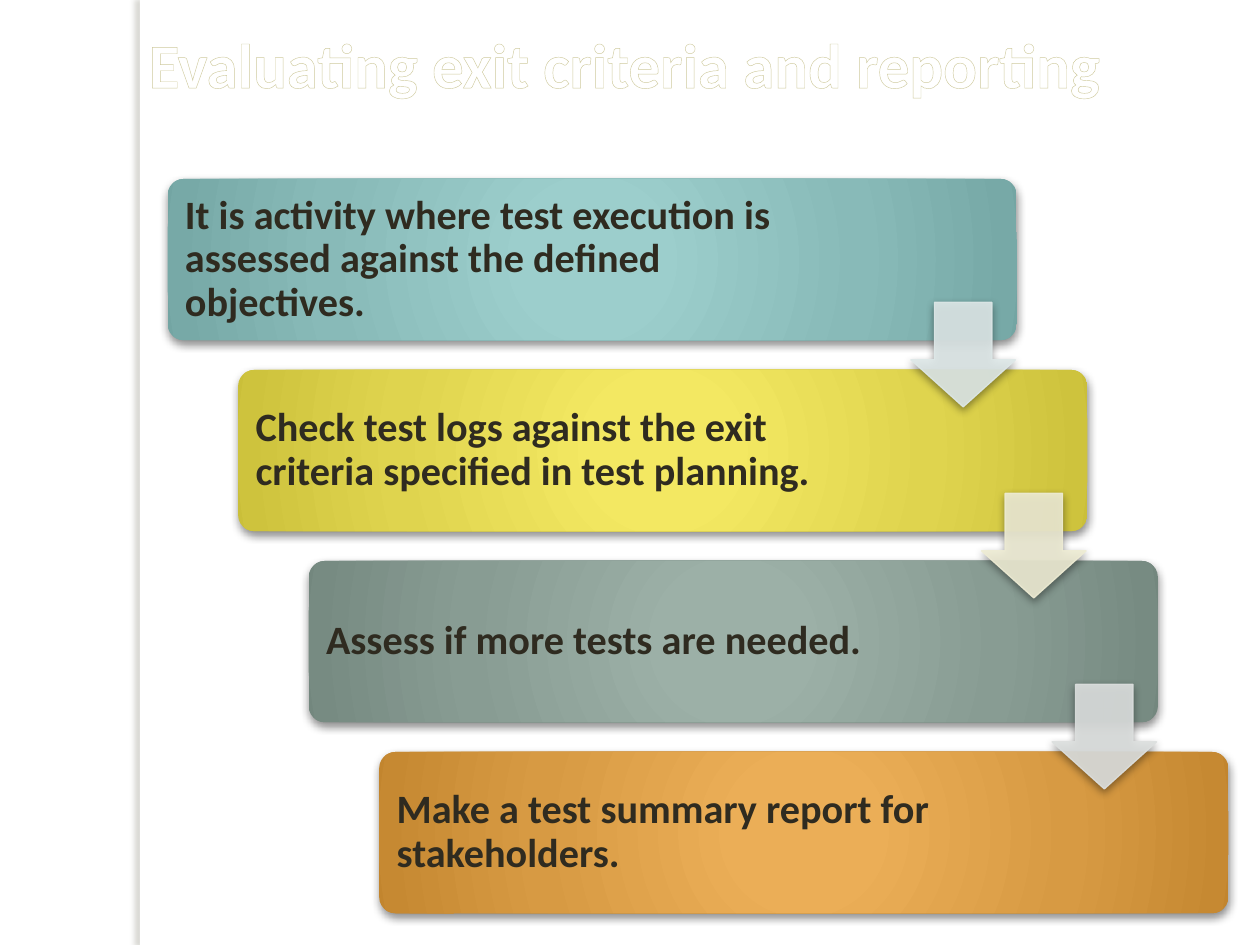
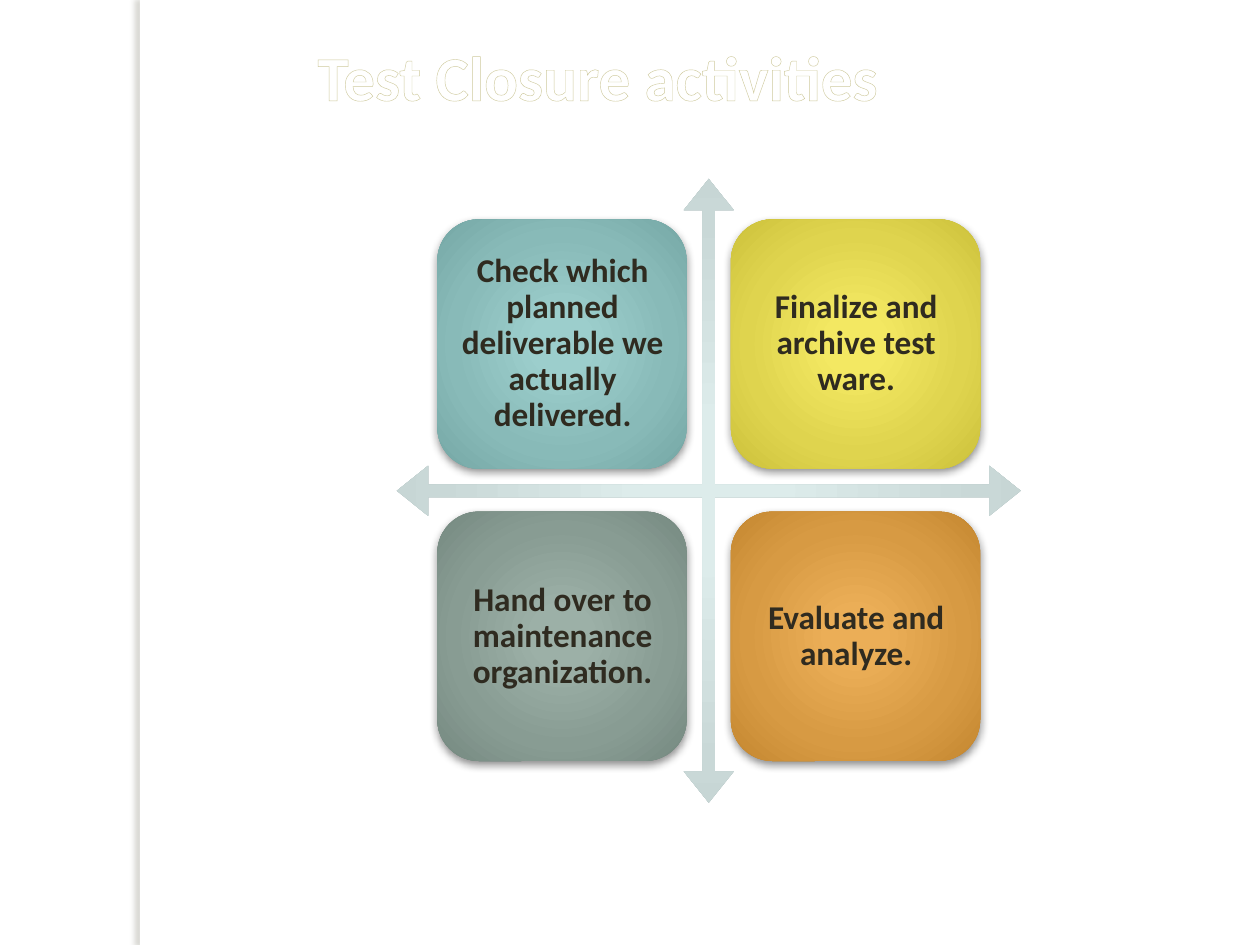
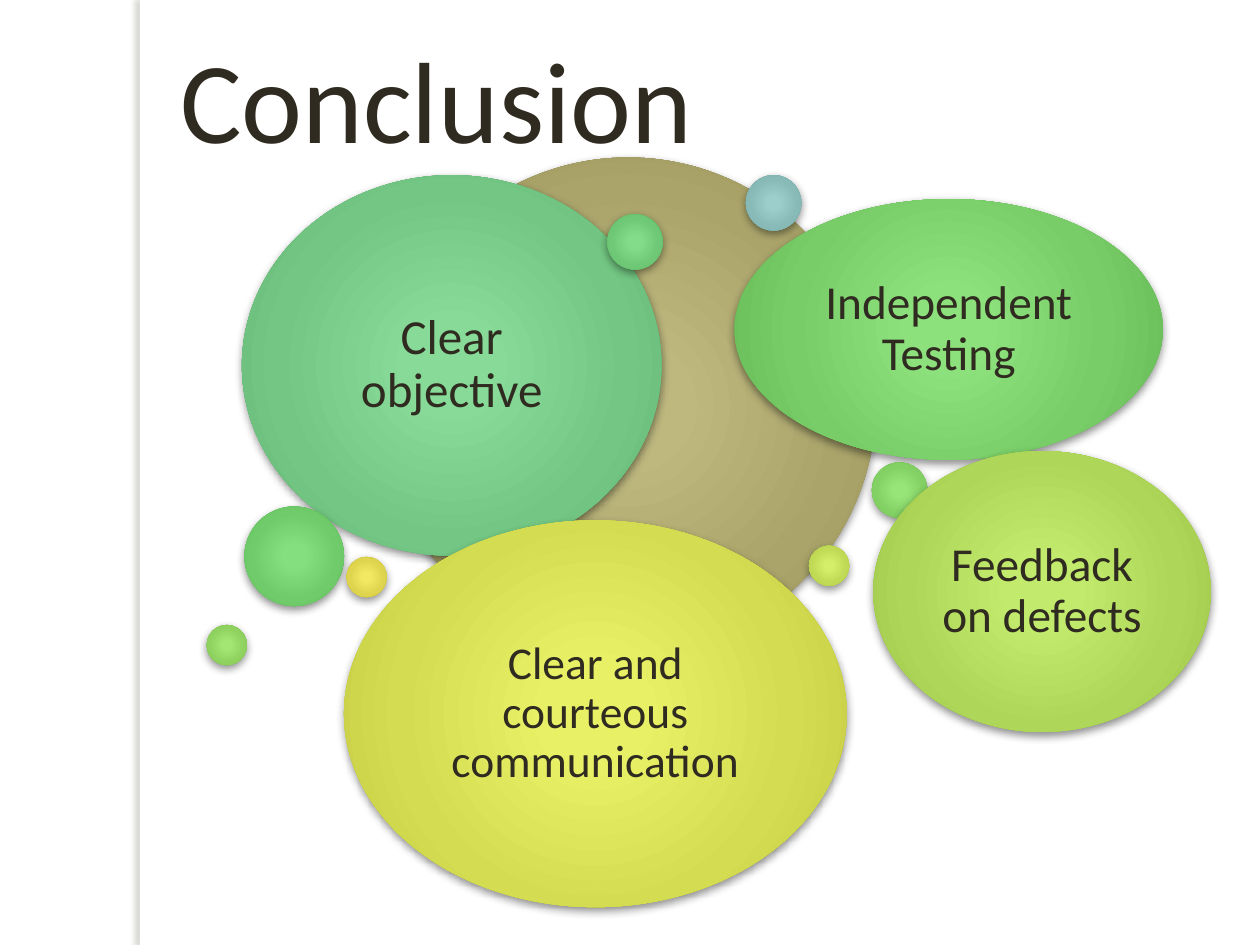
import pptx
import pptx.util
import pptx.oxml
import pptx.oxml.ns
import pptx.dml.color
import pptx.enum.shapes
import pptx.enum.text
import lxml.etree

Inches = pptx.util.Inches
Pt = pptx.util.Pt
RGB = pptx.dml.color.RGBColor.from_string
qn = pptx.oxml.ns.qn
KIND = pptx.enum.shapes.MSO_SHAPE
ALIGN = pptx.enum.text.PP_ALIGN
ANCHOR = pptx.enum.text.MSO_ANCHOR
NS = 'xmlns:a="http://schemas.openxmlformats.org/drawingml/2006/main"'

COLORS = {
    "paper": "FFFFFF", "ink": "2F2B20", "outline": "CFCA9E", "band_shadow": "706E5A",
    "teal": "9DCFCD", "yellow": "F4E963", "sage": "9DB1A8", "orange": "ECAF58",
    "pale_teal": "DEEDEC", "khaki": "BFB980", "mint": "88DB98", "green": "84DD8B",
    "leaf": "85E080", "grass": "8EE27D", "spring": "98E579", "sprout": "A5E775",
    "lime": "C3EC6E", "citron": "D5EF6A", "lemon": "E9F167",
    "teal_arrow": "DEE8E8", "yellow_arrow": "EEECD4", "sage_arrow": "DDE0DF",
}
SHADES = {0: 0, 15: 1, 62: 21, 97: 38, 100: 42}
SOFT_SHADOW = ("000000", 43, 5, 2, 90)
BAND_SHADOW = (COLORS["band_shadow"], 25, 3, 3, 180)


def draw(slide, kind, box, color, glow=True, shadow=SOFT_SHADOW, adjust=()):
    shape = slide.shapes.add_shape(kind, *map(Inches, box))
    for index, value in enumerate(adjust):
        shape.adjustments[index] = value
    shape.fill.solid()
    shape.fill.fore_color.rgb = RGB(COLORS[color])
    shape.line.fill.background()
    shape.shadow.inherit = False
    properties = shape.element.spPr
    if glow:
        channels = bytes.fromhex(COLORS[color])
        stops = "".join(
            f'<a:gs pos="{place * 1000}"><a:srgbClr val="{bytes(c - drop for c in channels).hex().upper()}"/></a:gs>'
            for place, drop in SHADES.items())
        gradient = pptx.oxml.parse_xml(
            f'<a:gradFill {NS} rotWithShape="1"><a:gsLst>{stops}</a:gsLst><a:path path="circle">'
            '<a:fillToRect l="50000" t="50000" r="50000" b="50000"/></a:path></a:gradFill>')
        properties.replace(properties.find(qn("a:solidFill")), gradient)
    if shadow:
        tint, opacity, blur, distance, angle = shadow
        properties.find(qn("a:effectLst")).append(pptx.oxml.parse_xml(
            f'<a:outerShdw {NS} blurRad="{Pt(blur)}" dist="{Pt(distance)}" dir="{angle * 60000}" '
            f'algn="ctr" rotWithShape="0"><a:srgbClr val="{tint}"><a:alpha val="{opacity * 1000}"/>'
            '</a:srgbClr></a:outerShdw>'))
    return shape


def write(holder, text, size, bold, color="ink", inset=(0.1, 0.05), align=ALIGN.LEFT,
          anchor=ANCHOR.MIDDLE, spacing=0.9):
    frame = holder.text_frame
    across, down = map(Inches, inset)
    frame_format = {"word_wrap": True, "auto_size": pptx.enum.text.MSO_AUTO_SIZE.NONE,
                    "vertical_anchor": anchor, "margin_left": across, "margin_right": across,
                    "margin_top": down, "margin_bottom": down}
    for key, value in frame_format.items():
        setattr(frame, key, value)
    paragraph = frame.paragraphs[0]
    paragraph.alignment = align
    paragraph.line_spacing = spacing
    run = paragraph.add_run()
    run.text = text
    for key, value in {"name": "Calibri", "size": Pt(size), "bold": bold}.items():
        setattr(run.font, key, value)
    run.font.color.rgb = RGB(COLORS[color])
    return run


prs = pptx.Presentation()
prs.slide_width, prs.slide_height = Inches(10), Inches(7.5)

titles = [
    ("Evaluating exit criteria and reporting", (1.08, 0.15, 8.92, 0.71), 36, True),
    ("Test Closure activities", (2.42, 0.25, 5.59, 0.71), 36, True),
    ("Conclusion", (1.33, 0.17, 8.25, 1.21), 66, False),
]
slides = []
for text, box, size, outlined in titles:
    slide = prs.slides.add_slide(prs.slide_layouts[5])
    title = slide.shapes.title
    for key, value in zip(("left", "top", "width", "height"), box):
        setattr(title, key, Inches(value))
    run = write(title, text, size, outlined, "paper" if outlined else "ink",
                anchor=ANCHOR.TOP, spacing=1.0)
    if outlined:
        run.font.fill._xPr.insert(0, pptx.oxml.parse_xml(
            f'<a:ln {NS} w="{Pt(2.48)}"><a:solidFill><a:srgbClr val="{COLORS["outline"]}"/>'
            '</a:solidFill></a:ln>'))
    slides.append(slide)
exit_slide, closure_slide, conclusion_slide = slides

side_band = draw(exit_slide, KIND.RECTANGLE, (1.11, 0, 0.08, 7.5), "paper", False, BAND_SHADOW)
prs.slide_master.element.cSld.spTree.append(side_band.element)

steps = [
    ("It is activity where test execution is assessed against the defined objectives.", "teal"),
    ("Check test logs against the exit criteria specified in test planning.", "yellow"),
    ("Assess if more tests are needed.", "sage"),
    ("Make a test summary report for stakeholders.", "orange"),
]
STEP_RIGHT, STEP_DOWN = 0.56, 1.516
for row, (text, color) in enumerate(steps):
    left, top = 1.33 + row * STEP_RIGHT, 1.42 + row * STEP_DOWN
    draw(exit_slide, KIND.ROUNDED_RECTANGLE, (left, top, 6.74, 1.28), color, adjust=[0.1])
    label = exit_slide.shapes.add_textbox(*map(Inches, (left + 0.04, top + 0.035, 5.26, 1.21)))
    write(label, text, 23, True, inset=(0.1, 0.1))
for row, color in enumerate(("teal_arrow", "yellow_arrow", "sage_arrow")):
    box = (7.23 + row * STEP_RIGHT, 2.4 + row * STEP_DOWN, 0.83, 0.83)
    arrow = draw(exit_slide, KIND.DOWN_ARROW, box, color, False, adjust=[0.55, 0.45])
    arrow.line.color.rgb = RGB(COLORS[color])
    arrow.line.width = Pt(0.75)
    for paint in arrow.element.spPr.iter(qn("a:solidFill")):
        lxml.etree.SubElement(paint[0], qn("a:alpha")).set("val", "90000")

activities = [
    ("Check which planned deliverable we actually delivered.", "teal"),
    ("Finalize and archive test ware.", "yellow"),
    ("Hand over to maintenance organization.", "sage"),
    ("Evaluate and analyze.", "orange"),
]
draw(closure_slide, KIND.QUAD_ARROW, (3.15, 1.42, 4.95, 4.95), "pale_teal", shadow=None,
     adjust=[0.02, 0.04, 0.05])
for index, (text, color) in enumerate(activities):
    row, column = divmod(index, 2)
    left, top = 3.47 + column * 2.33, 1.74 + row * 2.32
    draw(closure_slide, KIND.ROUNDED_RECTANGLE, (left, top, 1.98, 1.98), color)
    label = closure_slide.shapes.add_textbox(*map(Inches, (left + 0.1, top + 0.095, 1.79, 1.79)))
    write(label, text, 19, True, inset=(0.08, 0.08), align=ALIGN.CENTER)

bubbles = [
    (3.02, 1.25, 3.93, 3.93, "khaki", None, 0),
    (5.92, 1.39, 0.44, 0.44, "teal", None, 0),
    (1.92, 1.39, 3.33, 3.02, "mint", "Clear objective", 28),
    (4.82, 1.7, 0.44, 0.44, "green", None, 0),
    (1.94, 4.02, 0.79, 0.79, "leaf", None, 0),
    (5.83, 1.58, 3.4, 2.07, "grass", "Independent Testing", 27),
    (6.92, 3.67, 0.44, 0.44, "spring", None, 0),
    (1.64, 4.96, 0.32, 0.32, "sprout", None, 0),
    (6.93, 3.58, 2.68, 2.23, "lime", "Feedback on defects", 27),
    (6.42, 4.33, 0.32, 0.32, "citron", None, 0),
    (2.73, 4.13, 3.99, 3.07, "lemon", "Clear and courteous communication", 26),
    (2.75, 4.42, 0.32, 0.32, "yellow", None, 0),
]
for left, top, width, height, color, text, size in bubbles:
    draw(conclusion_slide, KIND.OVAL, (left, top, width, height), color)
    if text:
        inner = (left + width * 0.145, top + height * 0.145, width * 0.71, height * 0.71)
        label = conclusion_slide.shapes.add_textbox(*map(Inches, inner))
        write(label, text, size, False, inset=(0.11, 0.11), align=ALIGN.CENTER)

prs.save("out.pptx")
